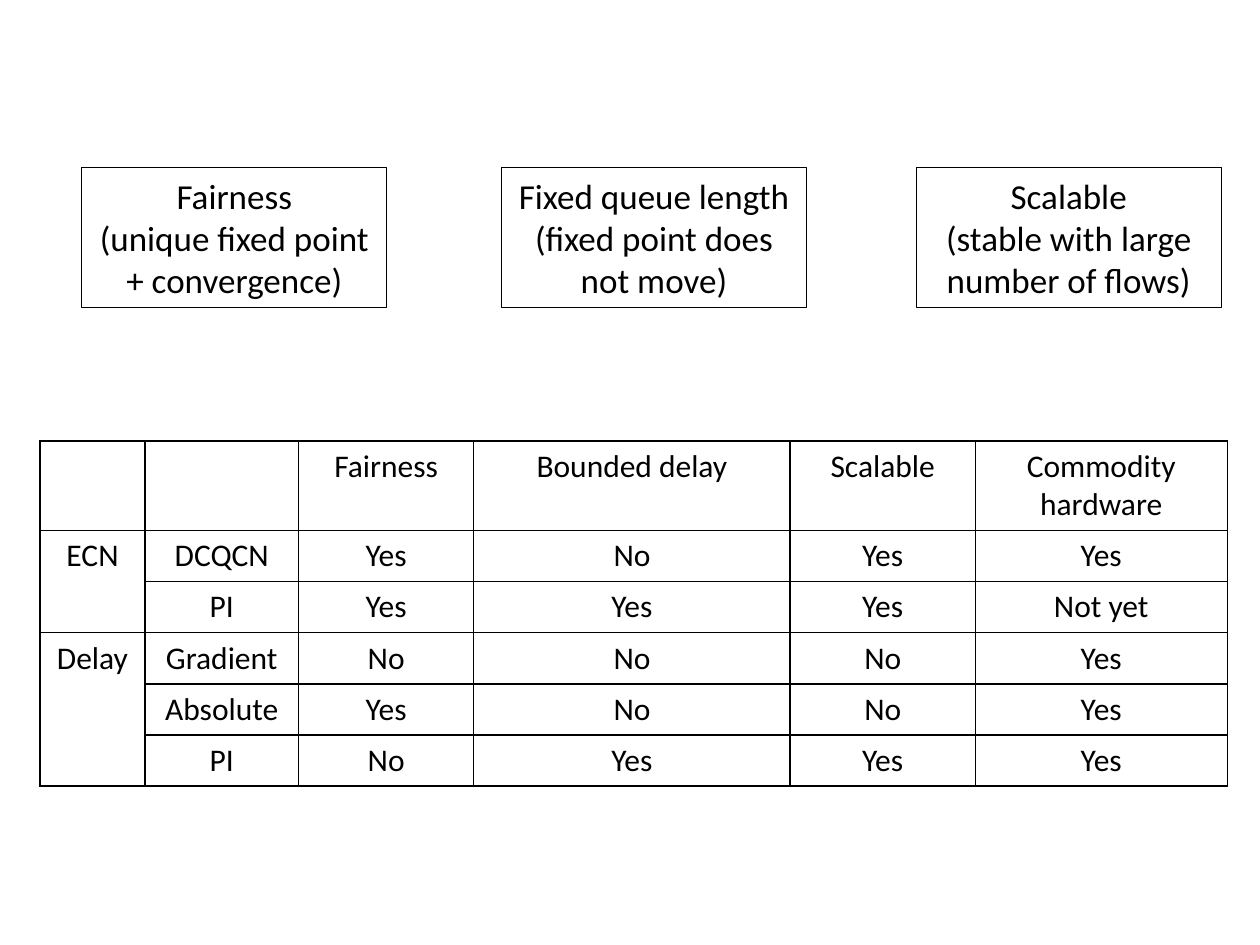
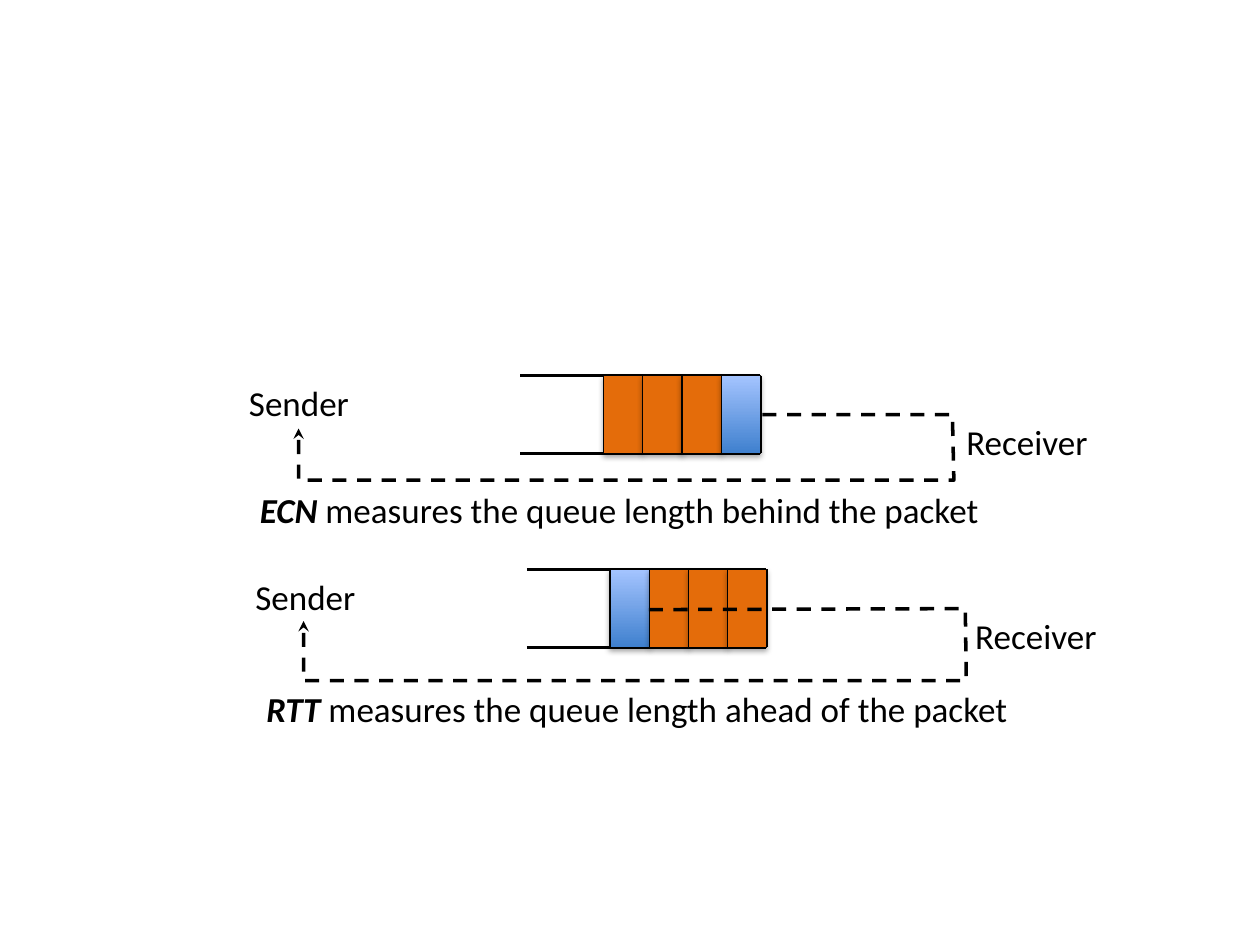
from lxml import etree
from pptx import Presentation
from pptx import util as u
from pptx.dml.color import RGBColor
from pptx.enum import dml, shapes, text
from pptx.oxml import ns

INK = {"black": "000000", "orange": "E46C0A", "deep": "3F80CE", "pale": "A4C4FF"}
FONT = "Calibri"
PITCH, TALL = 0.79, 1.57  # packet width and queue height, cm


def rgb(name):
    return RGBColor.from_string(INK[name])


def sub(node, tag, **attrs):
    return etree.SubElement(node, ns.qn("a:" + tag), attrs)


def style(frame, size, align=text.PP_ALIGN.LEFT):
    for para in frame.paragraphs:
        para.alignment = align
        for run in para.runs:
            run.font.name, run.font.size = FONT, u.Pt(size)
            run.font.color.rgb = rgb("black")


def stroke(item, width):
    item.line.color.rgb = rgb("black")
    item.line.width = u.Pt(width)


def block(parts, x, y, w, h):
    """Outlined rectangle without fill or shadow."""
    box = parts.add_shape(shapes.MSO_SHAPE.RECTANGLE, *map(u.Cm, (x, y, w, h)))
    box.shadow.inherit = False
    box.fill.background()
    stroke(box, 0.75)
    return box


def label(parts, x, y, w, *words):
    """Text line; the first of several parts is bold italic."""
    box = parts.add_textbox(*map(u.Cm, (x, y, w, 1.12)))
    frame = box.text_frame
    frame.word_wrap = True
    frame.auto_size = text.MSO_AUTO_SIZE.SHAPE_TO_FIT_TEXT
    for word in words:
        frame.paragraphs[0].add_run().text = word
    style(frame, 20)
    if len(words) > 1:
        font = frame.paragraphs[0].runs[0].font
        font.bold = font.italic = True


def rule(parts, x1, y1, x2, y2):
    line = parts.add_connector(shapes.MSO_CONNECTOR.STRAIGHT,
                               *map(u.Cm, (x1, y1, x2, y2)))
    stroke(line, 2)
    sub(line._element.spPr, "effectLst")


# Slide 1: goals and comparison table
def goal(parts, x, y, w, h, words):
    box = block(parts, x, y, w, h)
    frame = box.text_frame
    frame.word_wrap = True
    frame.auto_size = text.MSO_AUTO_SIZE.SHAPE_TO_FIT_TEXT
    frame.text = words
    style(frame, 20, text.PP_ALIGN.CENTER)


def border(cell):
    props = cell._tc.get_or_add_tcPr()
    for side in "LRTB":
        line = sub(props, "ln" + side, w=str(u.Pt(1)))
        sub(sub(line, "solidFill"), "srgbClr", val=INK["black"])


def grid(parts, x, y, cols, rows, data, spans):
    shape = parts.add_table(len(rows), len(cols),
                            *map(u.Cm, (x, y, sum(cols), sum(rows))))
    table = shape.table
    table.first_row = table.horz_banding = False
    for col, w in zip(table.columns, cols):
        col.width = u.Cm(w)
    for row, h, words in zip(table.rows, rows, data):
        row.height = u.Cm(h)
        for cell, word in zip(row.cells, words):
            border(cell)
            cell.fill.background()
            cell.text_frame.text = word
            style(cell.text_frame, 18, text.PP_ALIGN.CENTER)
    for first, last in spans:
        table.cell(first, 0).merge(table.cell(last, 0))


# Slide 2: one queue with its feedback loop
def packet(parts, x, y, probe):
    box = block(parts, x, y, PITCH, TALL)
    if probe:
        box.fill.gradient()
        box.fill.gradient_angle = 90
        for stop, name in zip(box.fill.gradient_stops, ("deep", "pale")):
            stop.color.rgb = rgb(name)
    else:
        box.fill.solid()
        box.fill.fore_color.rgb = rgb("orange")
    glow = box._element.spPr.find(ns.qn("a:effectLst"))
    cast = sub(glow, "outerShdw", blurRad="40000", dist="23000",
               dir="5400000", rotWithShape="0")
    sub(sub(cast, "srgbClr", val=INK["black"]), "alpha", val="35000")


def loop(parts, x, y, points):
    spots = [(u.Cm(x + px), u.Cm(y + py)) for px, py in points]
    pen = parts.build_freeform(*spots[0])
    pen.add_line_segments(spots[1:], close=False)
    track = pen.convert_to_shape()
    track.shadow.inherit = False
    track.fill.background()
    stroke(track, 2)
    track.line.dash_style = dml.MSO_LINE.DASH
    sub(track.line._get_or_add_ln(), "tailEnd", type="stealth")


def lane(slide, x, y, probe, points, far, note):
    parts = slide.shapes.add_group_shape().shapes
    right, low = x + 4.83, y + TALL
    for ends in ((x, y, right, y), (x, low, right, low), (right, y, right, low)):
        rule(parts, *ends)
    for i in range(4):
        packet(parts, x + 1.68 + i * PITCH, y, i == probe)
    label(parts, x - 5.72, y, 2.97, "Sender")
    label(parts, x + far, y + 0.79, 3.4, "Receiver")
    loop(parts, x, y, points)
    drop, words = note
    label(parts, x - 5.5, y + drop, 17.65, *words)


deck = Presentation()
deck.slide_width, deck.slide_height = u.Cm(25.4), u.Cm(19.05)
blank = deck.slide_layouts[6]

page = deck.slides.add_slide(blank)
grid(page.shapes, 0.81, 8.89,
     (2.11, 3.1, 3.53, 6.38, 3.73, 5.08), (1.8,) + (1.03,) * 5,
     [("", "", "Fairness", "Bounded delay", "Scalable", "Commodity hardware"),
      ("ECN", "DCQCN", "Yes", "No", "Yes", "Yes"),
      ("", "PI", "Yes", "Yes", "Yes", "Not yet"),
      ("Delay", "Gradient", "No", "No", "No", "Yes"),
      ("", "Absolute", "Yes", "No", "No", "Yes"),
      ("", "PI", "No", "Yes", "Yes", "Yes")],
     [(1, 2), (3, 5)])
for left, words in (
        (18.47, "Scalable\n(stable with large number of flows)"),
        (10.11, "Fixed queue length\n(fixed point does not move)"),
        (1.65, "Fairness\n(unique fixed point + convergence)")):
    goal(page.shapes, left, 3.38, 6.15, 2.82, words)

page = deck.slides.add_slide(blank)
lane(page, 10.49, 7.57, 3,
     [(4.88, 0.79), (8.71, 0.79), (8.74, 2.11), (-4.47, 2.11), (-4.47, 1.07)], 8.74,
     (2.16, ("ECN", " measures the queue length behind the packet")))
lane(page, 10.62, 11.48, 0,
     [(2.46, 0.81), (8.84, 0.79), (8.86, 2.24), (-4.5, 2.24), (-4.5, 1.04)], 8.79,
     (2.26, ("RTT", " measures the queue length ahead of the packet")))

deck.save("out.pptx")
